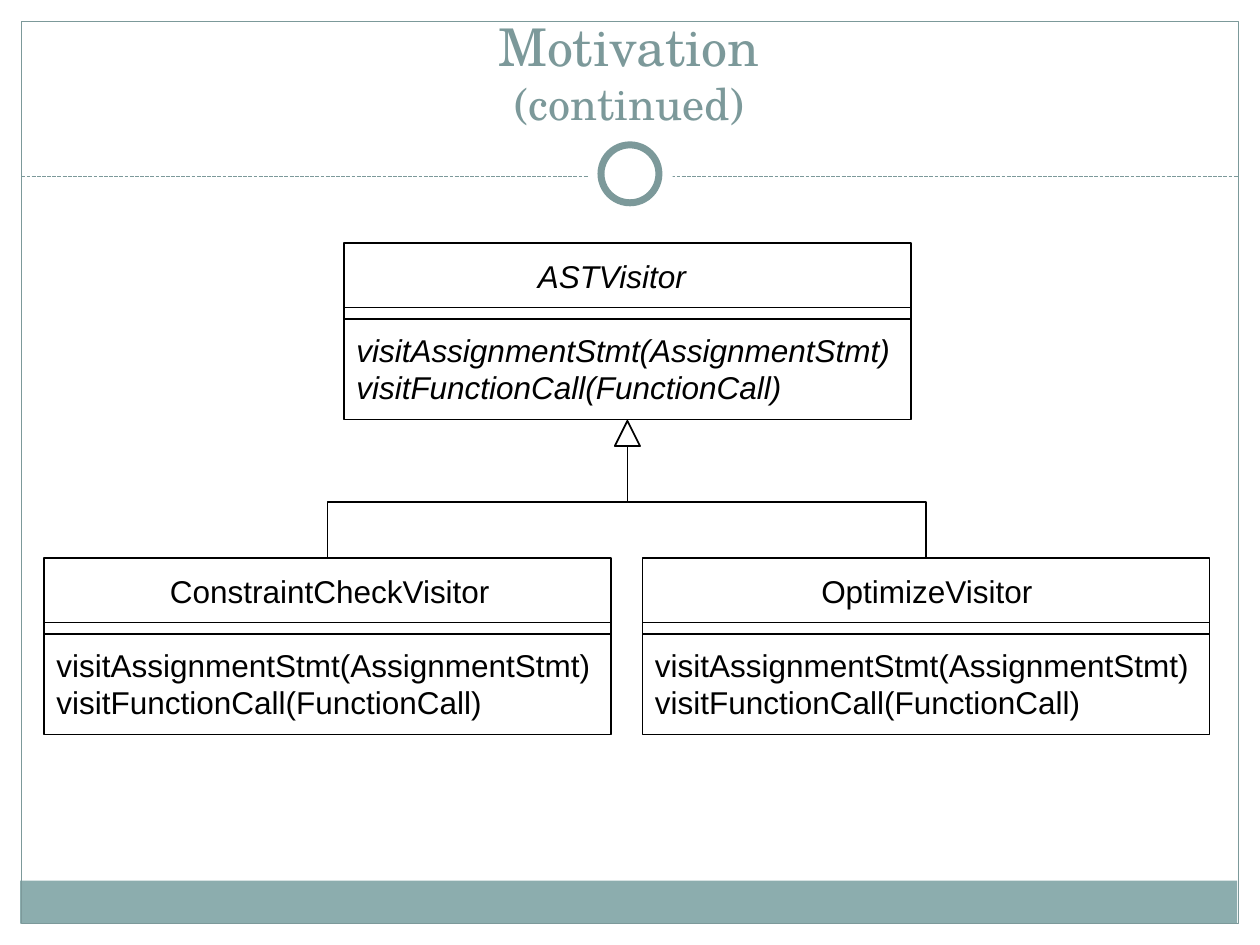
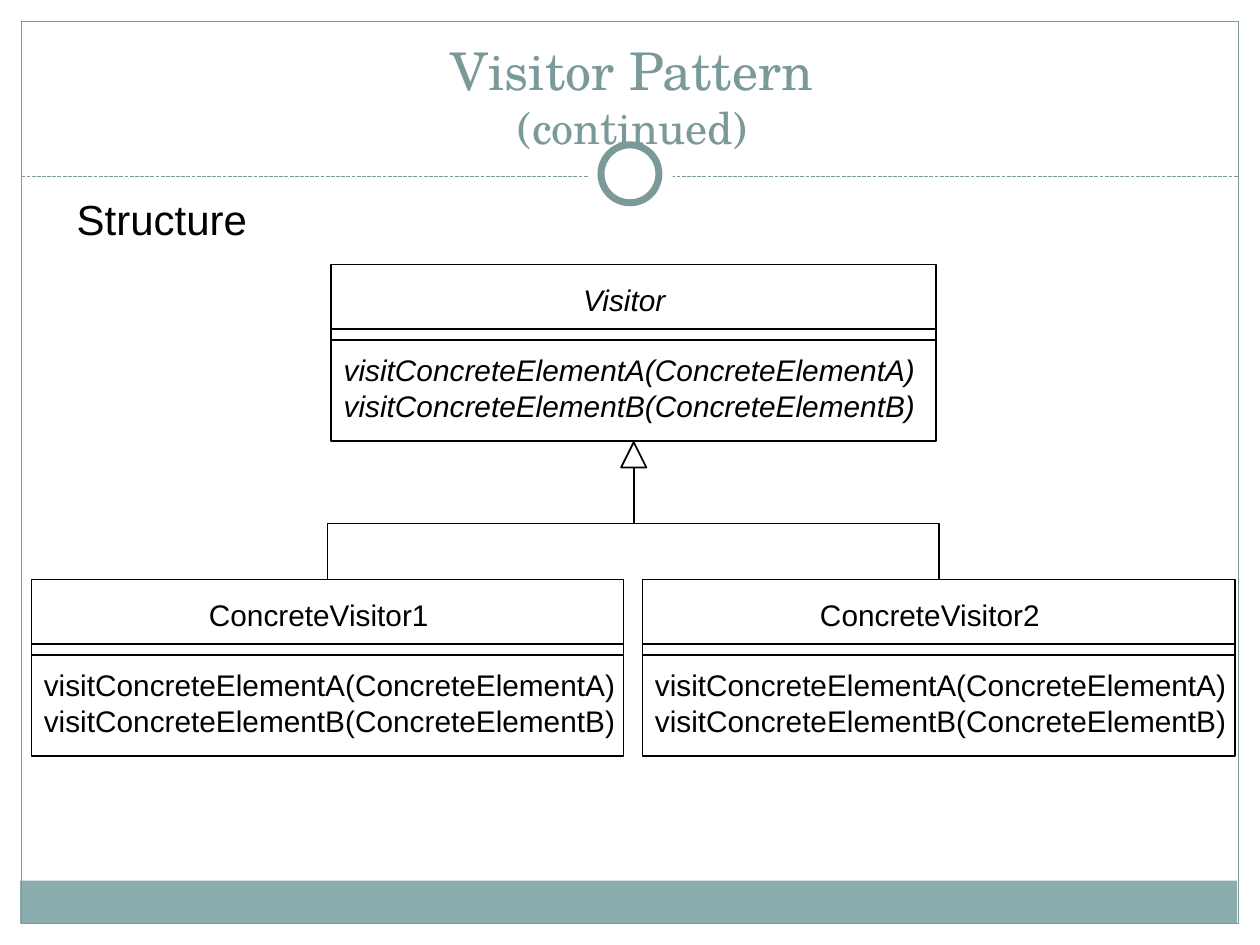
import pptx
import pptx.util
import pptx.dml.color
import pptx.enum.dml
import pptx.enum.shapes
import pptx.enum.text
import pptx.oxml.ns
import lxml.etree

Inches = pptx.util.Inches
Pt = pptx.util.Pt
KIND = pptx.enum.shapes.MSO_SHAPE
JOIN = pptx.enum.shapes.MSO_CONNECTOR
ALIGN = pptx.enum.text.PP_ALIGN
ANCHOR = pptx.enum.text.MSO_ANCHOR
DASH = pptx.enum.dml.MSO_LINE

BOX_H = 1.4     # height of a class box
DROP = 2.5      # from the top of the parent to the top of its children
RULES = (0.51, 0.6)
TIP = 0.2       # size of the inheritance triangle


def paint(code):
    """Turn a hex string into a colour."""
    return pptx.dml.color.RGBColor.from_string(code)


class Deck:
    """Holds the style and the current slide."""

    ink, teal, band, white = "000000", "7C999A", "8CADAE", "FFFFFF"
    head, body = "TeX Gyre Schola", "Arial"

    def __init__(self):
        """Open an empty deck."""
        self.prs = pptx.Presentation()
        self.prs.slide_width = Inches(10)
        self.prs.slide_height = Inches(7.5)
        self.slide = None

    def page(self):
        """Add a slide with the shared frame, band and ring."""
        self.slide = self.prs.slides.add_slide(self.prs.slide_layouts[6])
        self.shape(KIND.RECTANGLE, 0.16, 6.99, 9.66, 0.34, fill=self.band)
        self.shape(KIND.RECTANGLE, 0.17, 0.17, 9.66, 7.16, line=self.teal, wide=0.75)
        self.line(0.17, 1.4, 9.83, 1.4, self.teal, 0.75).line.dash_style = DASH.SQUARE_DOT
        self.shape(KIND.OVAL, 4.67, 1.05, 0.67, 0.67, fill=self.white)
        self.shape(KIND.OVAL, 4.77, 1.15, 0.46, 0.46, self.white, self.teal, 4)

    def shape(self, kind, x, y, w, h, fill=None, line=None, wide=1, home=None):
        """Add a preset shape, to a group if one is given."""
        item = (home or self.slide).shapes.add_shape(
            kind, Inches(x), Inches(y), Inches(w), Inches(h))
        item.shadow.inherit = False
        if fill:
            item.fill.solid()
            item.fill.fore_color.rgb = paint(fill)
        else:
            item.fill.background()
        if line:
            item.line.color.rgb = paint(line)
            item.line.width = Pt(wide)
        else:
            item.line.fill.background()
        return item

    def line(self, x1, y1, x2, y2, color=ink, wide=1, kind=JOIN.STRAIGHT, home=None):
        """Add a connector without shadow."""
        item = (home or self.slide).shapes.add_connector(
            kind, Inches(x1), Inches(y1), Inches(x2), Inches(y2))
        item.line.color.rgb = paint(color)
        item.line.width = Pt(wide)
        lxml.etree.SubElement(item._element.spPr, pptx.oxml.ns.qn("a:effectLst"))
        return item

    def elbow(self, x1, y1, x2, y2):
        """Add a bent connector that leaves and arrives vertically."""
        mid_x, mid_y = (x1 + x2) / 2, (y1 + y2) / 2
        half_w, half_h = (x2 - x1) / 2, (y2 - y1) / 2
        side = -1 if half_w > 0 else 1
        item = self.line(mid_x - side * half_h, mid_y - abs(half_w),
                         mid_x + side * half_h, mid_y + abs(half_w), kind=JOIN.ELBOW)
        turn = 90 if side > 0 else 270
        item._element.spPr.xfrm.set("rot", str(turn * 60000))

    def run(self, para, text, size, font=body, color=ink, slant=False):
        """Add one styled run."""
        run = para.add_run()
        run.text = text
        run.font.size = Pt(size)
        run.font.name = font
        run.font.italic = slant
        run.font.color.rgb = paint(color)

    def frame(self, x, y, w, h):
        """Add a text box and return its text frame."""
        text = self.slide.shapes.add_textbox(
            Inches(x), Inches(y), Inches(w), Inches(h)).text_frame
        text.paragraphs[0].alignment = ALIGN.CENTER
        return text

    def title(self, text, x, y, w, h):
        """Add a title with its smaller second line."""
        frame = self.frame(x, y, w, h)
        frame.word_wrap = True
        frame.vertical_anchor = ANCHOR.BOTTOM
        para = frame.paragraphs[0]
        self.run(para, text, 29.7, self.head, self.teal)
        para.add_line_break()
        self.run(para, "(continued)", 25.2, self.head, self.teal)

    def label(self, text, x, y, w, h):
        """Add a plain label."""
        frame = self.frame(x, y, w, h)
        frame.word_wrap = False
        self.run(frame.paragraphs[0], text, 24)

    def box(self, name, calls, x, y, w, size, dent, slant=False):
        """Add a class box: indented name, double rule, methods."""
        group = self.slide.shapes.add_group_shape()
        item = self.shape(KIND.RECTANGLE, x, y, w, BOX_H, line=self.ink, home=group)
        frame = item.text_frame
        frame.word_wrap = True
        frame.vertical_anchor = ANCHOR.MIDDLE
        frame.margin_right = 0
        for row, text in enumerate([name] + calls):
            para = frame.add_paragraph() if row else frame.paragraphs[0]
            para.alignment = ALIGN.LEFT
            if row == 0:
                para._p.get_or_add_pPr().set("marL", str(Inches(dent)))
            if row == 1:
                para.space_before = Pt(size * 1.15)
            self.run(para, text, size, slant=slant)
        for rule in RULES:
            self.line(x, y + rule, x + w, y + rule, home=group)

    def tree(self, top, size, calls, root, kids):
        """Add a parent class and the children that inherit from it."""
        name, x, wide, dent = root
        self.box(name, calls, x, top, wide, size, dent, slant=True)
        mid, tip = x + wide / 2, top + BOX_H + 0.01
        self.shape(KIND.ISOSCELES_TRIANGLE, mid - TIP / 2, tip, TIP, TIP, line=self.ink)
        for name, x, wide, dent in kids:
            self.elbow(mid, tip + TIP, x + wide / 2, top + DROP)
            self.box(name, calls, x, top + DROP, wide, size, dent)


deck = Deck()

deck.page()
deck.title("Motivation", 0.33, 0.25, 9.33, 0.83)
deck.tree(1.93, 18,
          ["visitAssignmentStmt(AssignmentStmt)", "visitFunctionCall(FunctionCall)"],
          ("ASTVisitor", 2.73, 4.5, 1.44),
          [("ConstraintCheckVisitor", 0.35, 4.5, 0.9),
           ("OptimizeVisitor", 5.1, 4.5, 1.32)])

deck.page()
deck.title("Visitor Pattern", 0.92, 0.17, 8.2, 1.1)
deck.label("Structure", 0.5, 1.49, 1.57, 0.5)
deck.tree(2.1, 17,
          [f"visitConcreteElement{key}(ConcreteElement{key})" for key in "AB"],
          ("Visitor", 2.63, 4.8, 1.9),
          [("ConcreteVisitor1", 0.25, 4.7, 1.31),
           ("ConcreteVisitor2", 5.1, 4.7, 1.31)])

deck.prs.save("out.pptx")
